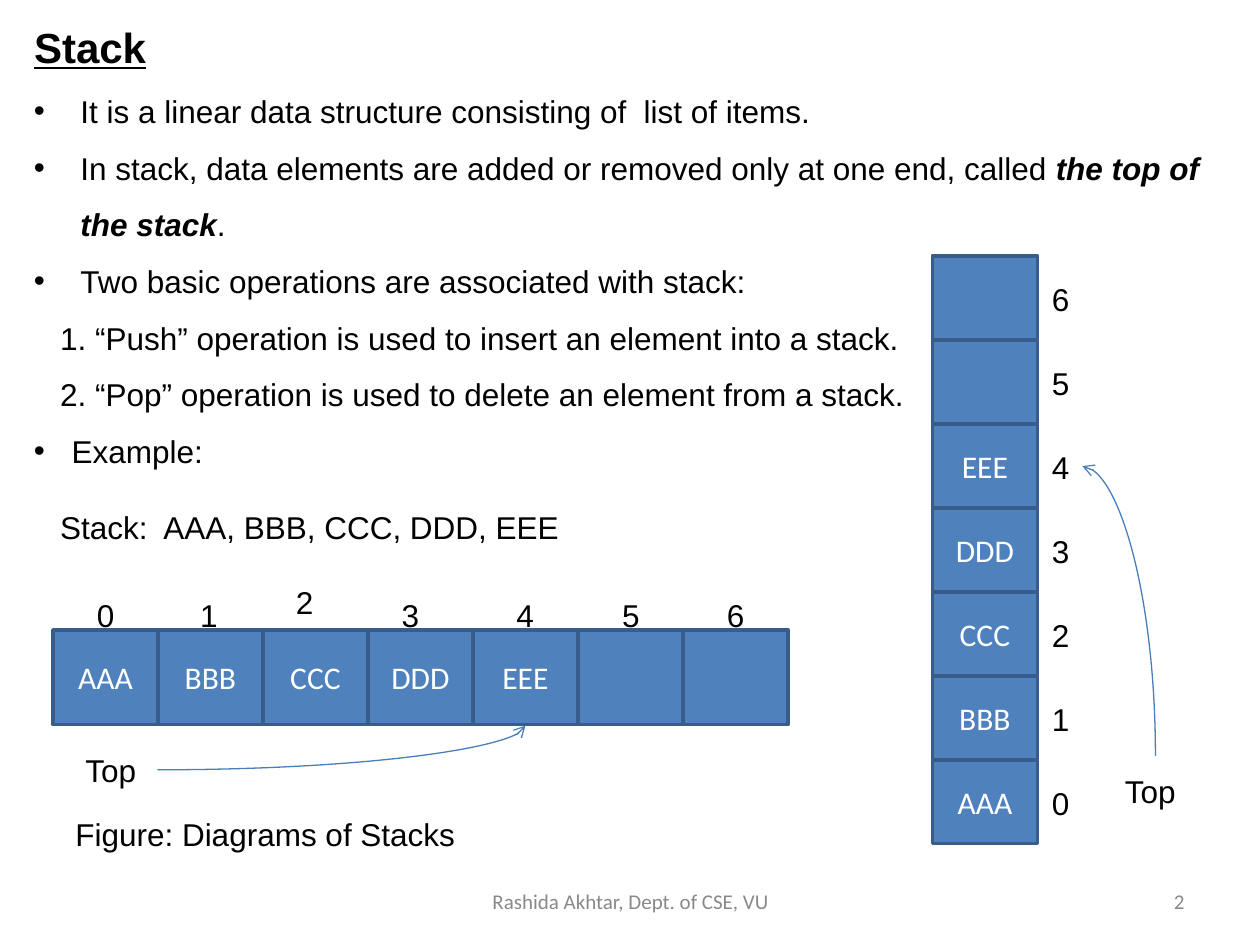
from dataclasses import dataclass

from lxml.etree import SubElement
from pptx import Presentation
from pptx.dml.color import RGBColor as Rgb
from pptx.enum.shapes import MSO_CONNECTOR as Connector, MSO_SHAPE as Shape
from pptx.enum.text import MSO_ANCHOR as Anchor, MSO_AUTO_SIZE as AutoSize, PP_ALIGN as Align
from pptx.oxml.ns import qn
from pptx.util import Inches, Pt


@dataclass(frozen=True)
class Theme:
    text_font: str = "Arial"
    cell_font: str = "Calibri"
    ink: str = "000000"
    muted: str = "898989"
    cell_fill: str = "4F81BD"
    cell_line: str = "385D8A"
    cell_ink: str = "FFFFFF"
    arrow: str = "4A7EBB"
    title_size: int = 24
    body_size: int = 18
    footer_size: int = 12


class StackSlide:
    """Draws styled elements on one slide."""

    def __init__(self, slide, theme):
        self.slide = slide
        self.theme = theme

    def style(self, paragraph, font=None, size=None, color=None):
        paragraph.font.name = font or self.theme.text_font
        paragraph.font.size = Pt(size or self.theme.body_size)
        paragraph.font.color.rgb = Rgb.from_string(color or self.theme.ink)

    def title(self, text, left, top, width, height):
        heading = self.slide.shapes.title
        heading.left, heading.top = Inches(left), Inches(top)
        heading.width, heading.height = Inches(width), Inches(height)
        frame = heading.text_frame
        frame.text = text
        frame.auto_size = AutoSize.NONE
        frame.vertical_anchor = Anchor.TOP
        line = frame.paragraphs[0]
        line.alignment = Align.LEFT
        line.line_spacing = 1.5
        self.style(line, size=self.theme.title_size)
        line.font.bold = line.font.underline = True

    def label(self, text, left, top, width=0.34, align=Align.LEFT, anchor=Anchor.TOP, **style):
        box = self.slide.shapes.add_textbox(Inches(left), Inches(top), Inches(width), Inches(0.4))
        frame = box.text_frame
        frame.word_wrap = True
        frame.vertical_anchor = anchor
        frame.text = text
        frame.paragraphs[0].alignment = align
        self.style(frame.paragraphs[0], **style)

    def body(self, points, left, top, width, height):
        box = self.slide.shapes.add_textbox(Inches(left), Inches(top), Inches(width), Inches(height))
        frame = box.text_frame
        frame.word_wrap = True
        for number, (bulleted, indent, spacing, parts) in enumerate(points):
            point = frame.add_paragraph() if number else frame.paragraphs[0]
            self.indent(point, indent, bulleted)
            point.line_spacing = spacing
            self.style(point)
            for part, emphasised in parts:
                run = point.add_run()
                run.text = part
                if emphasised:
                    run.font.bold = run.font.italic = True

    def indent(self, paragraph, distance, bulleted):
        properties = paragraph._p.get_or_add_pPr()
        properties.set("marL", str(Inches(distance)))
        properties.set("indent", str(-Inches(distance) if bulleted else 0))
        if bulleted:
            SubElement(properties, qn("a:buFont"), typeface=self.theme.text_font)
            SubElement(properties, qn("a:buChar"), char="•")

    def cell(self, text, left, top, width, height):
        box = self.slide.shapes.add_shape(
            Shape.RECTANGLE, Inches(left), Inches(top), Inches(width), Inches(height))
        box.shadow.inherit = False
        box.fill.solid()
        box.fill.fore_color.rgb = Rgb.from_string(self.theme.cell_fill)
        box.line.color.rgb = Rgb.from_string(self.theme.cell_line)
        box.line.width = Pt(2)
        if text:
            frame = box.text_frame
            frame.text = text
            frame.vertical_anchor = Anchor.MIDDLE
            frame.paragraphs[0].alignment = Align.CENTER
            self.style(frame.paragraphs[0], font=self.theme.cell_font, color=self.theme.cell_ink)

    def curved_arrow(self, start, end, leaves_upward=False):
        (x1, y1), (x2, y2) = start, end
        if leaves_upward:
            middle_x, middle_y = (x1 + x2) / 2, (y1 + y2) / 2
            half_width, half_height = abs(y2 - y1) / 2, abs(x2 - x1) / 2
            x1, x2 = middle_x - half_width, middle_x + half_width
            y1, y2 = middle_y + half_height, middle_y - half_height
        curve = self.slide.shapes.add_connector(
            Connector.CURVE, Inches(x1), Inches(y1), Inches(x2), Inches(y2))
        curve.line.color.rgb = Rgb.from_string(self.theme.arrow)
        curve.line.width = Pt(0.75)
        properties = curve._element.spPr
        properties.find(qn("a:prstGeom")).set("prst", "curvedConnector2")
        if leaves_upward:
            properties.find(qn("a:xfrm")).set("rot", str(270 * 60000))
        SubElement(properties.find(qn("a:ln")), qn("a:tailEnd"), type="arrow")
        SubElement(properties, qn("a:effectLst"))


POINTS = [
    (True, 0.37, 1.5, [("It is a linear data structure consisting of  list of items.", False)]),
    (True, 0.37, 1.5, [
        ("In stack, data elements are added or removed only at one end, called ", False),
        ("the top of the stack", True), (".", False)]),
    (True, 0.37, 1.5, [("Two basic operations are associated with stack:", False)]),
    (False, 0.21, 1.5, [("1. “Push” operation is used to insert an element into a stack.", False)]),
    (False, 0.21, 1.5, [("2. “Pop” operation is used to delete an element from a stack.", False)]),
    (True, 0.3, 1.5, [("Example:", False)]),
    (False, 0.21, 2.0, [("Stack:  AAA, BBB, CCC, DDD, EEE", False)]),
]
ITEMS = ["AAA", "BBB", "CCC", "DDD", "EEE", "", ""]
ROW_INDEX_PLACES = [(0.67, 4.68), (1.49, 4.68), (2.25, 4.58), (3.09, 4.68),
                    (4, 4.68), (4.84, 4.68), (5.67, 4.68)]
CELL_WIDTH = 5 / 6
COLUMN_STEP = 2 / 3


def main():
    deck = Presentation()
    deck.slide_width, deck.slide_height = Inches(10), Inches(7.5)
    theme = Theme()
    page = StackSlide(deck.slides.add_slide(deck.slide_layouts[5]), theme)

    footer = dict(anchor=Anchor.MIDDLE, font=theme.cell_font, size=theme.footer_size, color=theme.muted)
    page.label("Rashida Akhtar, Dept. of CSE, VU", 3.42, 6.95, 3.17, Align.CENTER, **footer)
    page.label("2", 7.17, 6.95, 2.33, Align.RIGHT, **footer)
    page.title("Stack", 0.17, -0.08, 9.5, 0.62)
    page.body(POINTS, 0.17, 0.53, 9.5, 4.74)

    for index, (item, place) in enumerate(zip(ITEMS, ROW_INDEX_PLACES)):
        page.cell(item, 7.4, 6.03 - index * COLUMN_STEP, CELL_WIDTH, COLUMN_STEP)
        page.label(str(index), 8.25, 6.17 - index * COLUMN_STEP)
        page.cell(item, 0.42 + index * CELL_WIDTH, 5, CELL_WIDTH, 0.75)
        page.label(str(index), *place)

    page.label("Top", 0.58, 5.91, 0.67)
    page.curved_arrow((1.25, 6.11), (4.17, 5.76))
    page.label("Top", 8.83, 6.08, 0.67)
    page.curved_arrow((9.17, 6), (8.59, 3.7), leaves_upward=True)
    page.label("Figure: Diagrams of Stacks", 0.5, 6.42, 6)

    deck.save("out.pptx")


if __name__ == "__main__":
    main()
